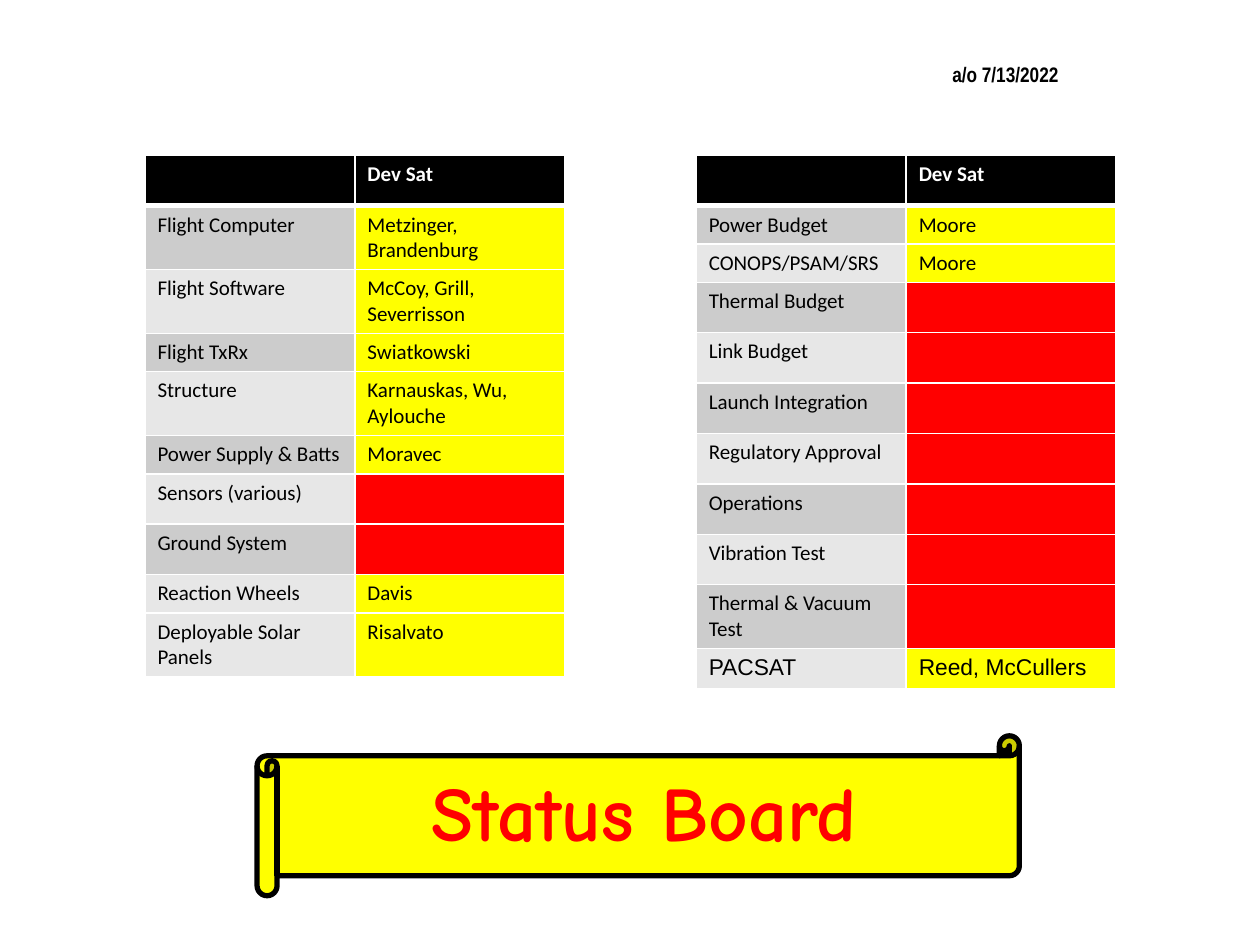
"""Build the satellite status board slide."""
import pptx
import pptx.dml.color
import pptx.enum.shapes
import pptx.enum.text
import pptx.oxml
import pptx.oxml.ns
import pptx.util

Pt = pptx.util.Pt
RGB = pptx.dml.color.RGBColor.from_string
COLORS = {"black": "000000", "white": "FFFFFF", "dark": "CCCCCC",
          "light": "E7E7E7", "yellow": "FFFF00", "red": "FF0000"}
SHORT, MEDIUM, TALL = 21.6, 28.8, 36
HEADER = ("", "Dev Sat", MEDIUM)
SUBSYSTEMS = [
    HEADER,
    ("Flight Computer", "Metzinger, Brandenburg", TALL),
    ("Flight Software", "McCoy, Grill, Severrisson", TALL),
    ("Flight TxRx", "Swiatkowski", SHORT),
    ("Structure", "Karnauskas, Wu, Aylouche", TALL),
    ("Power Supply & Batts", "Moravec", SHORT),
    ("Sensors (various)", "", MEDIUM),
    ("Ground System", "", MEDIUM),
    ("Reaction Wheels", "Davis", SHORT),
    ("Deployable Solar Panels", "Risalvato", TALL),
]
ANALYSES = [
    HEADER,
    ("Power Budget", "Moore", SHORT),
    ("CONOPS/PSAM/SRS", "Moore", SHORT),
    ("Thermal Budget", "", MEDIUM),
    ("Link Budget", "", MEDIUM),
    ("Launch Integration", "", MEDIUM),
    ("Regulatory Approval", "", MEDIUM),
    ("Operations", "", MEDIUM),
    ("Vibration Test", "", MEDIUM),
    ("Thermal & Vacuum Test", "", MEDIUM + 7.2),
    ("PACSAT", "Reed, McCullers", 23),
]


def write(tf, text, size=12, font="Calibri", color="black", bold=False, align=None):
    p = tf.paragraphs[0]
    p.alignment = align
    r = p.add_run()
    r.text = text
    r.font.size, r.font.name, r.font.bold = Pt(size), font, bold
    r.font.color.rgb = RGB(COLORS[color])


def set_borders(cell, top, bottom):
    tc_pr = cell._tc.get_or_add_tcPr()
    for side, width in (("L", 0.96), ("R", 0.96), ("T", top), ("B", bottom)):
        tc_pr.append(pptx.oxml.parse_xml(
            f'<a:ln{side} {pptx.oxml.ns.nsdecls("a")} w="{Pt(width)}"><a:solidFill>'
            f'<a:srgbClr val="{COLORS["white"]}"/></a:solidFill></a:ln{side}>'))


prs = pptx.Presentation()
prs.slide_width, prs.slide_height = Pt(720), Pt(540)
s = prs.slides.add_slide(prs.slide_layouts[5])

for left, rows in ((82.8, SUBSYSTEMS), (397.8, ANALYSES)):
    height = sum(row[2] for row in rows)
    table = s.shapes.add_table(len(rows), 2, Pt(left), Pt(88.8), Pt(240), Pt(height)).table
    for i, (task, owner, row_height) in enumerate(rows):
        table.rows[i].height = Pt(row_height)
        if i == 0:
            fills = ("black", "black")
        else:
            fills = ("dark" if i % 2 and task != "Deployable Solar Panels" else "light",
                     "yellow" if owner else "red")
        for j, text in enumerate((task, owner)):
            cell = table.cell(i, j)
            set_borders(cell, 3 if i == 1 else 0.96, 3 if i == 0 else 0.96)
            cell.fill.solid()
            cell.fill.fore_color.rgb = RGB(COLORS[fills[j]])
            if not text:
                cell.margin_top = cell.margin_bottom = Pt(3)
            elif i == 0:
                write(cell.text_frame, text, color="white", bold=True)
            elif task == "PACSAT":
                write(cell.text_frame, text, size=13, font="Arial")
            else:
                write(cell.text_frame, text)

scroll = s.shapes.add_shape(pptx.enum.shapes.MSO_SHAPE.HORIZONTAL_SCROLL,
                            Pt(146.9), Pt(420.5), Pt(435.6), Pt(91.4))
scroll.shadow.inherit = False
scroll.fill.solid()
scroll.fill.fore_color.rgb = RGB(COLORS["yellow"])
scroll.line.color.rgb = RGB(COLORS["black"])
scroll.line.width = Pt(3)

title = s.shapes.title
title.left, title.top, title.width, title.height = Pt(125.3), Pt(433.4), Pt(486), Pt(59.8)
title.text_frame.auto_size = pptx.enum.text.MSO_AUTO_SIZE.NONE
write(title.text_frame, "Status Board", size=44, font="Comic Neue", color="red",
      bold=True, align=pptx.enum.text.PP_ALIGN.CENTER)
scroll._element.addnext(title._element)

date = s.shapes.add_textbox(Pt(537.1), Pt(31.7), Pt(90.7), Pt(21.6))
date.text_frame.word_wrap = True
write(date.text_frame, "a/o 7/13/2022", font="Arial Narrow", bold=True)

prs.save("out.pptx")
